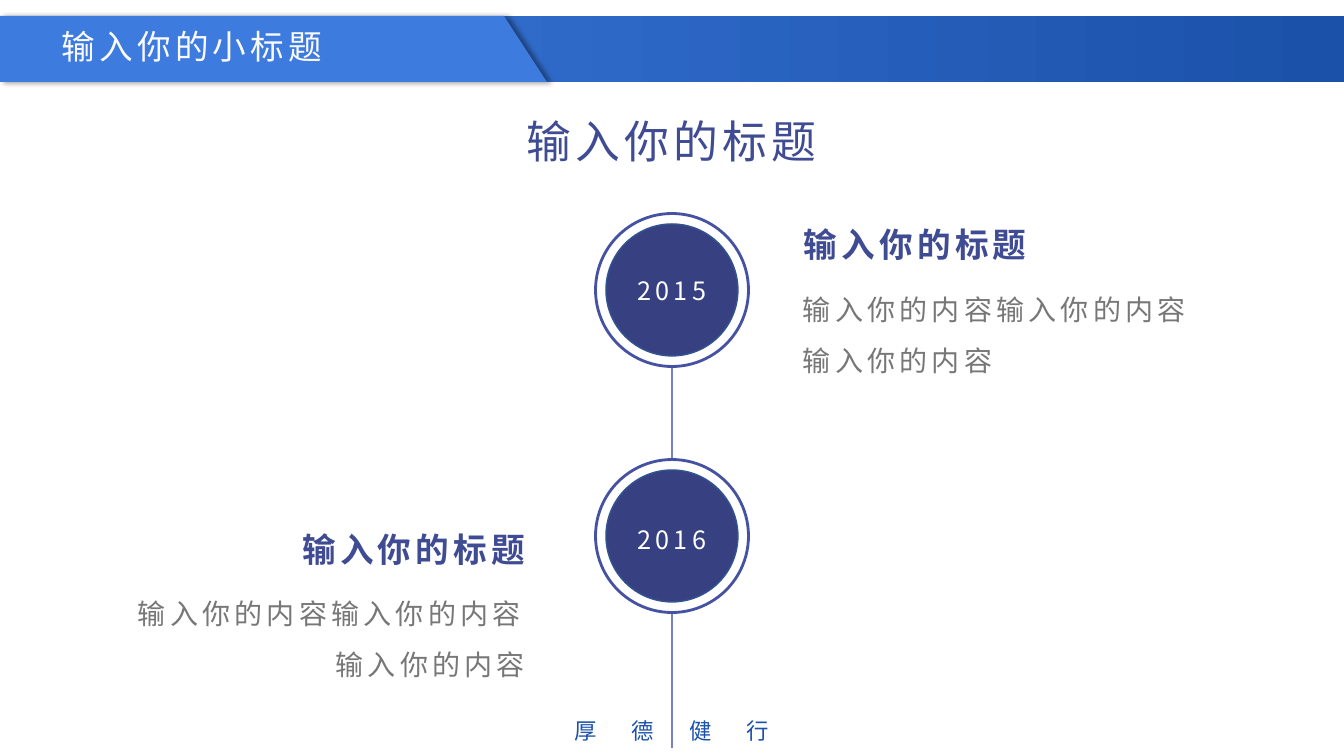
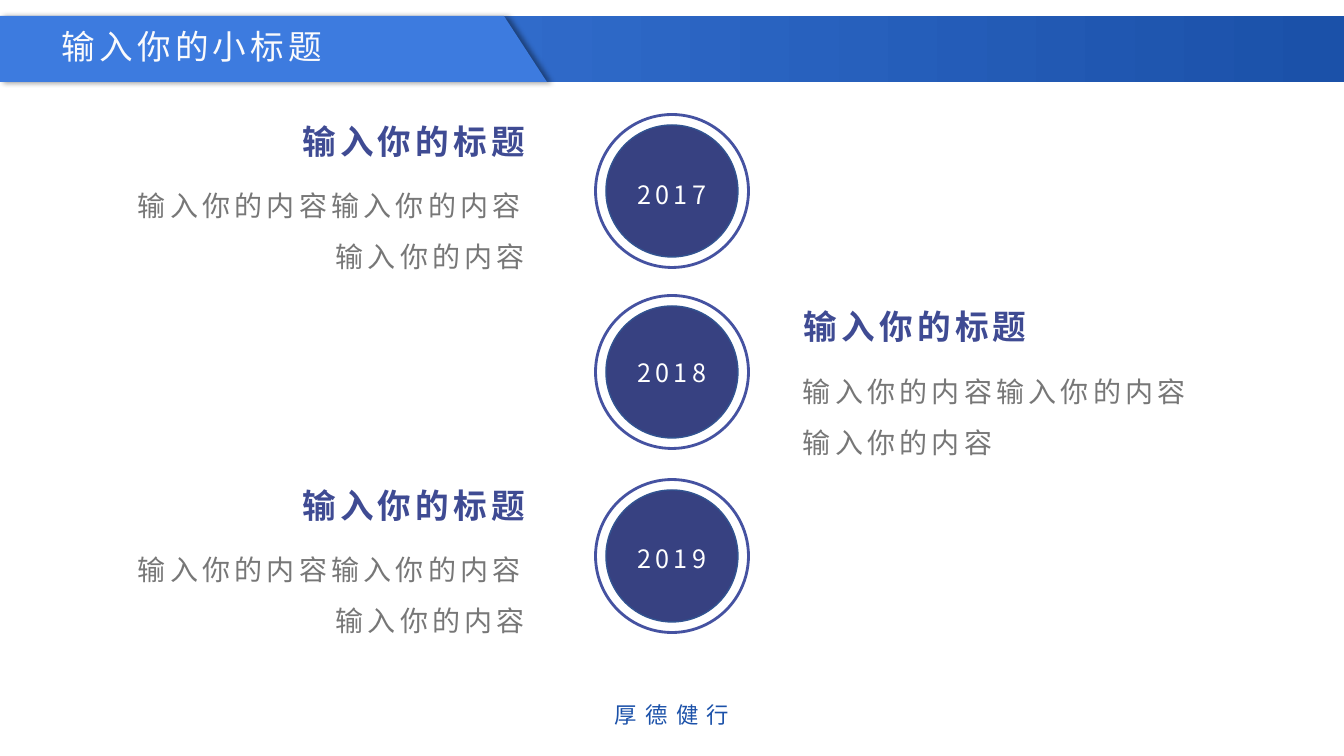
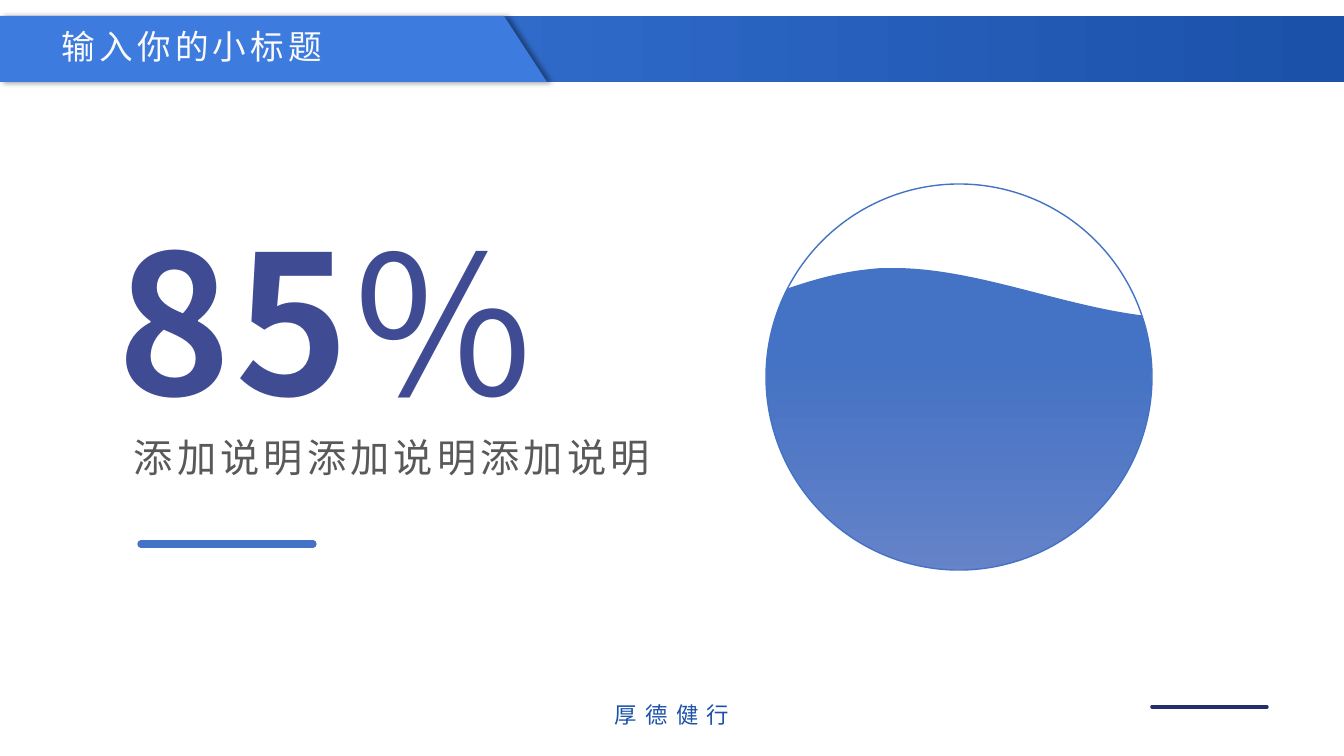
"""Build three slides: two yearly timeline slides and one fill-level slide."""
from lxml import etree
from pptx import Presentation
from pptx.dml.color import RGBColor
from pptx.enum.shapes import MSO_CONNECTOR, MSO_SHAPE
from pptx.enum.text import MSO_AUTO_SIZE, PP_ALIGN
from pptx.oxml.ns import qn
from pptx.util import Pt

PX = 914400 / 100.8
FONT = "Noto Sans CJK SC"
OVAL, RECT = MSO_SHAPE.OVAL, MSO_SHAPE.RECTANGLE
STRAIGHT = MSO_CONNECTOR.STRAIGHT
FIT = MSO_AUTO_SIZE.SHAPE_TO_FIT_TEXT
LEFT, CENTER, RIGHT = PP_ALIGN.LEFT, PP_ALIGN.CENTER, PP_ALIGN.RIGHT
C = {
    "white": "FFFFFF", "band_text": "FAFAFC", "band": "3D7BDF", "deep": "1B51A9",
    "heading": "3F4B93", "body": "777777", "caption": "595959",
    "disc": "374181", "disc_edge": "325491", "ring": "4552A1", "axis": "7580C5",
    "water": "4472C4", "water_low": "8993CD", "rule": "242E6A",
}


def text(s, content, x, y, w, h, size=20, color="body", bold=False, align=LEFT,
         spacing=3, line=None, inset=True, light=""):
    """Add a text box; light is a closing part that is never bold."""
    tf = s.shapes.add_textbox(*[round(v * PX) for v in (x, y, w, h)]).text_frame
    tf.word_wrap = True
    tf.auto_size = FIT
    if not inset:
        tf.margin_left = tf.margin_top = tf.margin_right = tf.margin_bottom = 0
    p = tf.paragraphs[0]
    p.alignment = align
    if line:
        p.line_spacing = line
    for part, weight in ((content, bold), (light, False)):
        if part:
            r = p.add_run()
            r.text = part
            r.font.size = Pt(size)
            r.font.bold = weight
            r.font.color.rgb = RGBColor.from_string(C[color])
            r.font.name = FONT
            rPr = r.font._element
            rPr.set("spc", str(round(spacing * 100)))
            etree.SubElement(rPr, qn("a:ea"), typeface=FONT)


def paint(sp, fill=None, line=None, width=1, stops=None, angle=0):
    """Set fill or gradient stops, outline and no shadow."""
    sp.shadow.inherit = False
    if stops:
        sp.fill.gradient()
        sp.fill.gradient_angle = angle
        for stop, (position, color) in zip(sp.fill.gradient_stops, stops):
            stop.position = position
            stop.color.rgb = RGBColor.from_string(C[color])
    elif fill:
        sp.fill.solid()
        sp.fill.fore_color.rgb = RGBColor.from_string(C[fill])
    else:
        sp.fill.background()
    if line:
        sp.line.color.rgb = RGBColor.from_string(C[line])
        sp.line.width = Pt(width)
    else:
        sp.line.fill.background()


TAB = [(-72, 82), (547, 82), (504, 16), (-1, 16), (-1, 82)]
RINGS = [(153, "white", "ring", 2), (132, "disc", "disc_edge", 1)]
WAVE = [(891, 268), [
    [(994, 267), (1103, 327), (1207, 317)],
    [(1233, 314), (1261, 305), (1290, 294)],
    [(1293, 293)], [(1293, 732)], [(1236, 737)],
    [(932, 759), (514, 774), (132, 784)],
    [(0, 788)], [(0, 419)], [(6, 420)],
    [(12, 420), (17, 420), (22, 420)],
    [(108, 415), (198, 344), (285, 337)],
    [(374, 329), (454, 387), (551, 376)],
    [(649, 364), (761, 279), (871, 269)],
    [(878, 268), (884, 268), (891, 268)],
]]
HOLE = [(959, 184), [
    [(852, 184), (766, 270), (766, 377)],
    [(766, 484), (852, 570), (959, 570)],
    [(1066, 570), (1152, 484), (1152, 377)],
    [(1152, 270), (1066, 184), (959, 184)],
]]
FRAME = [(0, 0), [[(1344, 0)], [(1344, 756)], [(0, 756)]]]

SLIDES = [
    {"outlines": [], "ovals": [],
     "texts": [("输入你的标题", 429, 109, 485, 65,
                {"size": 32, "color": "heading", "align": CENTER})],
     "lines": [(672, 367, 672, 748, "axis", 1.75, "flat")],
     "years": [("2015", 290, 270, RIGHT, 219), ("2016", 536, 519, LEFT, 524)],
     "footer": ("厚 德 健 行", 712, 10.8)},
    {"outlines": [], "ovals": [], "texts": [], "lines": [],
     "years": [("2018", 372, 352, RIGHT, 301), ("2019", 556, 538, LEFT, 480),
               ("2017", 191, 174, LEFT, 116)],
     "footer": ("厚德健行", 696, 6)},
    {"outlines": [
        ([WAVE], {"stops": [(0.17, "water"), (1, "water_low")], "angle": 270}),
        ([HOLE, FRAME], {"fill": "white"})],
     "ovals": [(766, 184, 386, 386)],
     "texts": [("85", 108, 197, 596, 244,
                {"size": 138, "color": "heading", "bold": True, "light": "%"}),
               ("添加说明添加说明添加说明", 124, 428, 563, 57,
                {"size": 28, "color": "caption"})],
     "lines": [(1152, 707, 1267, 707, "rule", 2.5, "rnd"),
               (141, 544, 313, 544, "water", 5.25, "rnd")],
     "years": [],
     "footer": ("厚德健行", 696, 6)},
]

prs = Presentation()
prs.slide_width, prs.slide_height = round(1344 * PX), round(756 * PX)

for page in SLIDES:
    s = prs.slides.add_slide(prs.slide_layouts[6])

    for loops, style in page["outlines"]:
        fb = s.shapes.build_freeform(*[v * PX for v in loops[0][0]])
        for i, (start, segments) in enumerate(loops):
            if i:
                fb.move_to(*[v * PX for v in start])
            fb.add_line_segments([(x * PX, y * PX) for x, y in [seg[-1] for seg in segments]])
        sp = fb.convert_to_shape()
        paint(sp, **style)
        segments = [seg for start, loop in loops for seg in loop]
        for node, seg in zip(list(sp._element.iter(qn("a:lnTo"))), segments):
            if len(seg) == 3:
                curve = etree.Element(qn("a:cubicBezTo"))
                for x, y in seg:
                    etree.SubElement(curve, qn("a:pt"), x=str(round(x * PX) - sp.left),
                                     y=str(round(y * PX) - sp.top))
                node.getparent().replace(node, curve)
    for box in page["ovals"]:
        paint(s.shapes.add_shape(OVAL, *[round(v * PX) for v in box]), line="water")

    band = s.shapes.add_shape(RECT, *[round(v * PX) for v in (-1, 16, 1347, 66)])
    paint(band, stops=[(0, "band"), (0.99, "deep")])
    points = [(x * PX, y * PX) for x, y in TAB]
    fb = s.shapes.build_freeform(*points[0])
    fb.add_line_segments(points[1:])
    tab = fb.convert_to_shape()
    paint(tab, "band")
    effects = tab._element.spPr.find(qn("a:effectLst"))
    shadow = etree.SubElement(effects, qn("a:outerShdw"), blurRad=str(Pt(4)),
                              dist=str(Pt(3)), dir="0", rotWithShape="0")
    black = etree.SubElement(shadow, qn("a:srgbClr"), val="000000")
    etree.SubElement(black, qn("a:alpha"), val="40000")
    text(s, "输入你的小标题", 52, 21, 424, 50, size=24, color="band_text")

    for content, x, y, w, h, style in page["texts"]:
        text(s, content, x, y, w, h, **style)

    for x1, y1, x2, y2, color, width, cap in page["lines"]:
        c = s.shapes.add_connector(STRAIGHT, *[round(v * PX) for v in (x1, y1, x2, y2)])
        c.line.color.rgb = RGBColor.from_string(C[color])
        c.line.width = Pt(width)
        spPr = c._element.spPr
        spPr.find(qn("a:ln")).set("cap", cap)
        etree.SubElement(spPr, qn("a:effectLst"))

    for year, center_y, year_y, side, title_y in page["years"]:
        for d, fill, line, width in RINGS:
            box = (672 - d / 2, center_y - d / 2, d, d)
            paint(s.shapes.add_shape(OVAL, *[round(v * PX) for v in box]), fill, line, width)
        text(s, year, 606, year_y, 132, 40, size=18, color="white", align=CENTER)
        title_x, body_x, gap, align = (794, 793, 52, LEFT) if side == RIGHT else (253, 108, 51, RIGHT)
        text(s, "输入你的标题", title_x, title_y, 282, 50, size=24, color="heading",
             bold=True, align=align)
        text(s, "输入你的内容输入你的内容输入你的内容", body_x, title_y + gap, 427, 107,
             align=align, line=1.5)

    motto, y, spacing = page["footer"]
    text(s, motto, 480, y, 384, 31, size=16, color="deep", align=CENTER,
         spacing=spacing, line=1.2, inset=False)

prs.save("out.pptx")
